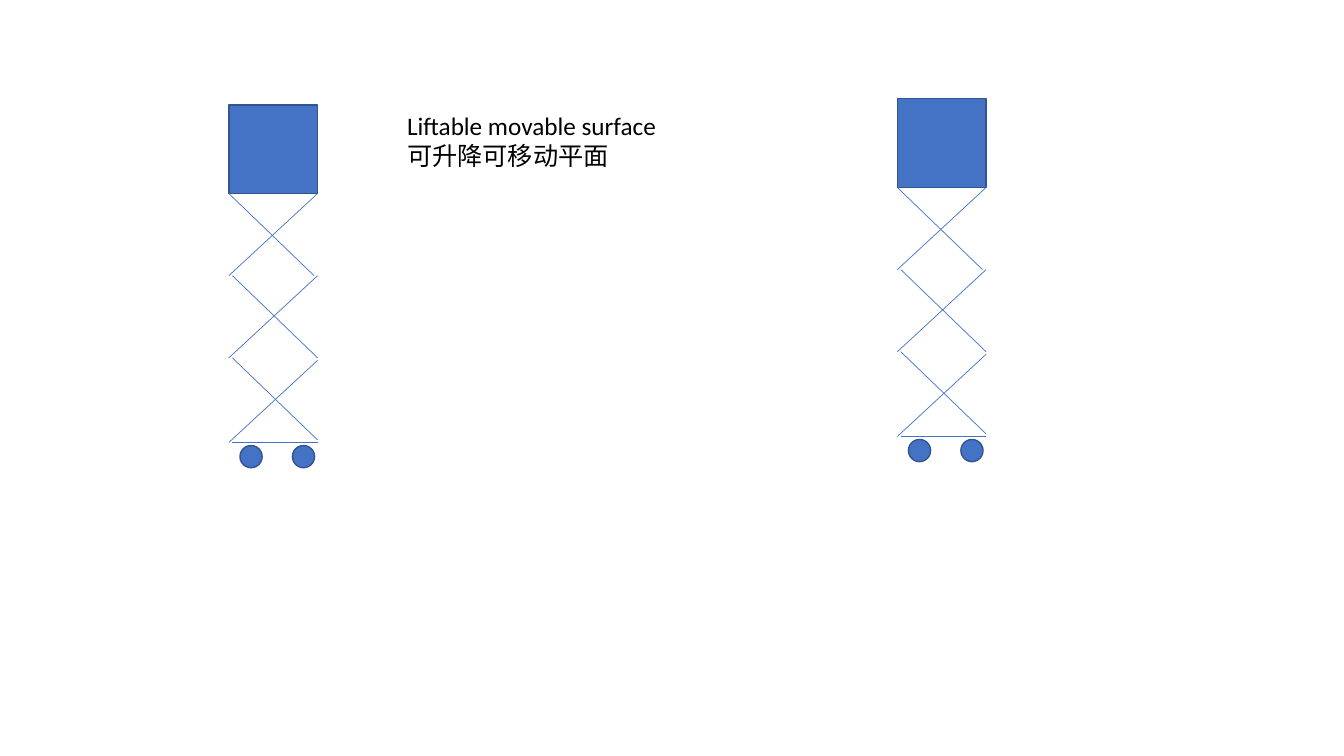
"""Build a slide with two scissor lifts and a bilingual caption."""
from lxml import etree
from pptx import Presentation
from pptx.dml.color import RGBColor
from pptx.enum.shapes import MSO_CONNECTOR, MSO_SHAPE
from pptx.enum.text import MSO_AUTO_SIZE
from pptx.oxml.ns import qn
from pptx.util import Inches, Pt

STRAIGHT = MSO_CONNECTOR.STRAIGHT
RECTANGLE = MSO_SHAPE.RECTANGLE
OVAL = MSO_SHAPE.OVAL
GROW = MSO_AUTO_SIZE.SHAPE_TO_FIT_TEXT

BLUE = RGBColor(0x44, 0x72, 0xC4)
DARK_BLUE = RGBColor(0x32, 0x54, 0x91)
BLACK = RGBColor(0, 0, 0)

CAPTION = ["Liftable movable surface", "可升降可移动平面"]
CAPTION_BOX = (3.94, 1.04, 2.73, 0.71)
LIFTS = [(2.27, 1.04), (8.9, 0.98)]

PLATFORM = 0.88
STAGE = 0.815
INSET = 0.035
WHEEL = 0.22
WHEEL_OFFSETS = [0.11, 0.63]
WHEEL_GAP = 0.03
# Each stage: left and right ends of the falling arm, drop of the rising arm
STAGES = [
    (0, PLATFORM - INSET, 0),
    (INSET, PLATFORM, 0),
    (INSET, PLATFORM, 0.025),
]


def add_solid(page, kind, left, top, size):
    solid = page.shapes.add_shape(
        kind, Inches(left), Inches(top), Inches(size), Inches(size))
    solid.shadow.inherit = False
    solid.fill.solid()
    solid.fill.fore_color.rgb = BLUE
    solid.line.color.rgb = DARK_BLUE
    solid.line.width = Pt(1)


def add_arm(page, start, end):
    arm = page.shapes.add_connector(
        STRAIGHT, *(Inches(value) for value in (*start, *end)))
    arm.line.color.rgb = BLUE
    arm.line.width = Pt(0.5)
    etree.SubElement(arm.element.spPr, qn("a:effectLst"))


def add_text(page, lines, place, size=18, font="Calibri", color=BLACK):
    box = page.shapes.add_textbox(*(Inches(value) for value in place))
    frame = box.text_frame
    frame.word_wrap = True
    frame.auto_size = GROW
    for index, line in enumerate(lines):
        para = frame.add_paragraph() if index else frame.paragraphs[0]
        span = para.add_run()
        span.text = line
        span.font.size = Pt(size)
        span.font.name = font
        span.font.color.rgb = color


def add_lift(page, left, top):
    right = left + PLATFORM
    add_solid(page, RECTANGLE, left, top, PLATFORM)
    for index, (near, far, drop) in enumerate(STAGES):
        upper = top + PLATFORM + index * STAGE
        lower = upper + STAGE
        add_arm(page, (left + near, upper), (left + far, lower))
        add_arm(page, (right, upper + drop), (left, lower + drop))
    base = lower + drop
    add_arm(page, (left + INSET, base), (right, base))
    for offset in WHEEL_OFFSETS:
        add_solid(page, OVAL, left + offset, base + WHEEL_GAP, WHEEL)


def main():
    deck = Presentation()
    deck.slide_width, deck.slide_height = Inches(13.33), Inches(7.5)
    page = deck.slides.add_slide(deck.slide_layouts[6])
    for left, top in LIFTS:
        add_lift(page, left, top)
    add_text(page, CAPTION, CAPTION_BOX)
    deck.save("out.pptx")


if __name__ == "__main__":
    main()
